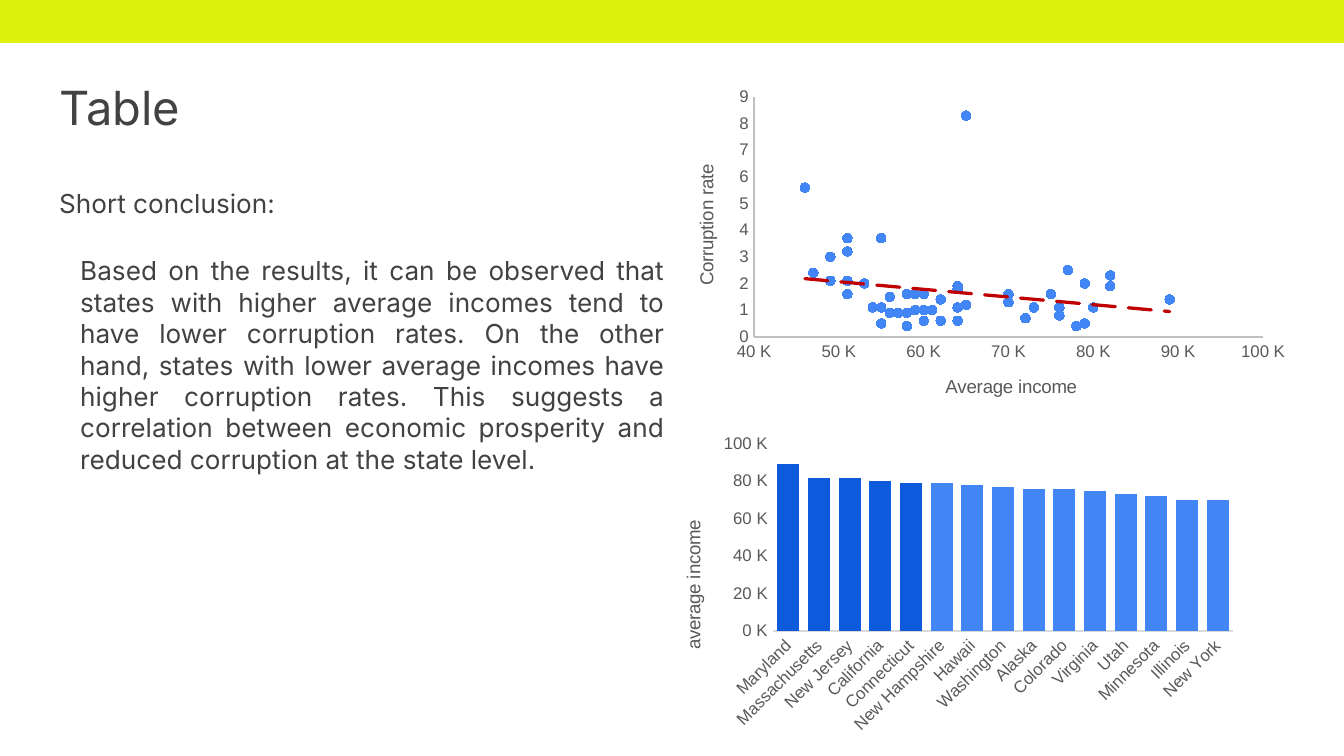
from lxml.etree import SubElement
from pptx import Presentation
from pptx.chart.data import CategoryChartData, XyChartData
from pptx.dml.color import RGBColor
from pptx.enum.chart import XL_CHART_TYPE, XL_MARKER_STYLE, XL_TICK_MARK
from pptx.enum.shapes import MSO_SHAPE
from pptx.enum.text import PP_ALIGN
from pptx.oxml import parse_xml
from pptx.oxml.ns import nsdecls, qn
from pptx.util import Pt

SCALE = 914400 / 134.4
BLUE, DARK_BLUE, LIME = "4285F4", "0D5BDC", "DCF10D"
TEXT_COLOUR, AXIS_COLOUR = "424242", "595959"
THOUSANDS = '#,##0,\\ "K"'

TITLE = "Table"
LEAD = "Short conclusion:"
CONCLUSION = (
    "Based on the results, it can be observed that states with higher average incomes "
    "tend to have lower corruption rates. On the other hand, states with lower average "
    "incomes have higher corruption rates. This suggests a correlation between economic "
    "prosperity and reduced corruption at the state level."
)
STATES = [
    ("Maryland", 89), ("Massachusetts", 82), ("New Jersey", 82), ("California", 80),
    ("Connecticut", 79), ("New Hampshire", 79), ("Hawaii", 78), ("Washington", 77),
    ("Alaska", 76), ("Colorado", 76), ("Virginia", 75), ("Utah", 73),
    ("Minnesota", 72), ("Illinois", 70), ("New York", 70),
]
HIGHLIGHTED = 5
OTHER_INCOMES = [
    65, 65, 64, 64, 64, 64, 64, 62, 62, 61, 60, 60, 60, 59, 59, 58, 58, 58,
    57, 56, 56, 55, 55, 55, 55, 54, 53, 51, 51, 51, 51, 49, 49, 47, 46,
]
RATES = [
    1.4, 2.3, 1.9, 1.1, 2, 0.5, 0.4, 2.5, 1.1, 0.8, 1.6, 1.1, 0.7, 1.3, 1.6, 1.2, 8.3,
    1.1, 1.9, 1.1, 0.6, 1.8, 1.4, 0.6, 1, 1, 1.6, 0.6, 1, 1.6, 0.4, 1.6, 0.9, 0.9, 0.9,
    1.5, 3.7, 0.5, 1.1, 1.1, 1.1, 2, 3.2, 2.1, 3.7, 1.6, 3, 2.1, 2.4, 5.6,
]
INCOMES = [income for _, income in STATES] + OTHER_INCOMES

SCATTER_BOX = (667, 81, 632, 345)
SCATTER_PLOT = (754, 97, 509, 240)
COLUMN_BOX = (667, 413, 590, 331)
COLUMN_PLOT = (773, 444, 460, 187)


def px(*values):
    return [round(value * SCALE) for value in values]


def colour(value):
    return RGBColor.from_string(value)


def set_values(target, values):
    for name, value in values.items():
        setattr(target, name, value)


def fill(target, value):
    target.fill.solid()
    target.fill.fore_color.rgb = colour(value)


def add_text(slide, box, paragraphs):
    frame = slide.shapes.add_textbox(*px(*box)).text_frame
    margins = ("margin_left", "margin_top", "margin_right", "margin_bottom")
    set_values(frame, dict.fromkeys(margins, Pt(7.2)) | {"word_wrap": True})
    for index, (text, size, indent, values) in enumerate(paragraphs):
        paragraph = frame.add_paragraph() if index else frame.paragraphs[0]
        run = paragraph.add_run()
        run.text = text
        set_values(run.font, {"name": "Inter", "size": Pt(size)})
        run.font.color.rgb = colour(TEXT_COLOUR)
        set_values(paragraph, values)
        paragraph._p.get_or_add_pPr().set("marL", str(px(indent)[0]))


def set_layout(parent, box, chart_box, inner=False):
    left, top, width, height = chart_box
    parts = zip("xywh", box, (left, top, 0, 0), (width, height) * 2)
    layout = parent.find(qn("c:layout"))
    if layout is None:
        layout = parse_xml(f"<c:layout {nsdecls('c')}/>")
        text = parent.find(qn("c:tx"))
        if text is None:
            parent.insert(0, layout)
        else:
            text.addnext(layout)
    manual = SubElement(layout, qn("c:manualLayout"))
    if inner:
        SubElement(manual, qn("c:layoutTarget")).set("val", "inner")
    for name in "xy":
        SubElement(manual, qn(f"c:{name}Mode")).set("val", "edge")
    for name, value, start, extent in parts:
        SubElement(manual, qn(f"c:{name}")).set("val", str(round((value - start) / extent, 4)))


def add_chart(slide, kind, box, plot_box, data):
    chart = slide.shapes.add_chart(kind, *px(*box), data).chart
    set_values(chart, {"has_legend": False, "has_title": False})
    set_values(chart.font, {"name": "Arial", "size": Pt(10)})
    chart.plots[0].vary_by_categories = False
    set_layout(chart._chartSpace.chart.plotArea, plot_box, box, True)
    return chart


def style_axis(axis, line, limits, number_format, title, position, chart_box):
    set_values(axis, {
        "has_major_gridlines": False, "major_tick_mark": XL_TICK_MARK.NONE,
        "minor_tick_mark": XL_TICK_MARK.NONE,
    } | limits)
    set_values(axis.tick_labels.font, {"name": "Arial", "size": Pt(9)})
    axis.tick_labels.font.color.rgb = colour(AXIS_COLOUR)
    if number_format:
        set_values(axis.tick_labels, {"number_format": number_format, "number_format_is_linked": False})
    if line:
        axis.format.line.color.rgb = colour(line)
        axis.format.line.width = Pt(0.75)
    else:
        axis.format.line.fill.background()
    axis.has_title = bool(title)
    if title:
        frame = axis.axis_title.text_frame
        frame.text = title
        font = frame.paragraphs[0].runs[0].font
        set_values(font, {"name": "Arial", "size": Pt(10), "bold": False})
        font.color.rgb = colour(AXIS_COLOUR)
        set_layout(axis.axis_title._element, position, chart_box)


def add_scatter(slide):
    data = XyChartData()
    points = data.add_series("Series 1")
    for income, rate in zip(INCOMES, RATES):
        points.add_data_point(income * 1000, rate)
    chart = add_chart(slide, XL_CHART_TYPE.XY_SCATTER, SCATTER_BOX, SCATTER_PLOT, data)
    style_axis(chart.category_axis, "BFBFBF",
               {"minimum_scale": 40000, "maximum_scale": 100000, "major_unit": 10000},
               THOUSANDS, "Average income", (942, 371), SCATTER_BOX)
    style_axis(chart.value_axis, "BFBFBF",
               {"minimum_scale": 0, "maximum_scale": 9, "major_unit": 1},
               "General", "Corruption rate", (691, 161), SCATTER_BOX)
    series = chart.plots[0].series[0]
    series.smooth = False
    series.format.line.fill.background()
    set_values(series.marker, {"style": XL_MARKER_STYLE.CIRCLE, "size": 5})
    fill(series.marker.format, BLUE)
    series.marker.format.line.color.rgb = colour(BLUE)
    trend = parse_xml(
        f'<c:trendline {nsdecls("c", "a")}><c:spPr><a:ln w="{Pt(1.75)}" cap="rnd"><a:solidFill>'
        '<a:srgbClr val="C00000"/></a:solidFill><a:prstDash val="lgDash"/></a:ln></c:spPr>'
        '<c:trendlineType val="linear"/><c:dispRSqr val="0"/><c:dispEq val="0"/></c:trendline>')
    series._element.find(qn("c:xVal")).addprevious(trend)


def add_columns(slide):
    data = CategoryChartData()
    data.categories = [state for state, _ in STATES]
    data.add_series("Series 1", [income * 1000 for _, income in STATES])
    chart = add_chart(slide, XL_CHART_TYPE.COLUMN_CLUSTERED, COLUMN_BOX, COLUMN_PLOT, data)
    style_axis(chart.category_axis, "D9D9D9", {}, None, None, None, COLUMN_BOX)
    chart.category_axis._element.find(qn("c:txPr")).find(qn("a:bodyPr")).set("rot", "-2700000")
    style_axis(chart.value_axis, None,
               {"minimum_scale": 0, "maximum_scale": 100000, "major_unit": 20000},
               THOUSANDS, "average income", (678, 517), COLUMN_BOX)
    set_values(chart.plots[0], {"gap_width": 40, "overlap": -27})
    series = chart.plots[0].series[0]
    fill(series.format, BLUE)
    for index in range(HIGHLIGHTED):
        fill(series.points[index].format, DARK_BLUE)


def main():
    presentation = Presentation()
    width, height = px(1344, 756)
    set_values(presentation, {"slide_width": width, "slide_height": height})
    slide = presentation.slides.add_slide(presentation.slide_layouts[6])
    add_text(slide, (46, 65, 1253, 84), [(TITLE, 25.2, 0, {})])
    add_text(slide, (46, 169, 632, 487), [
        (LEAD, 14, 0, {"line_spacing": 1.15}),
        (CONCLUSION, 14, 21, {"alignment": PP_ALIGN.JUSTIFY, "space_before": Pt(19.5)}),
    ])
    band = slide.shapes.add_shape(MSO_SHAPE.RECTANGLE, *px(0, 0, 1344, 43))
    band.shadow.inherit = False
    fill(band, LIME)
    band.line.fill.background()
    add_scatter(slide)
    add_columns(slide)
    presentation.save("out.pptx")


if __name__ == "__main__":
    main()
